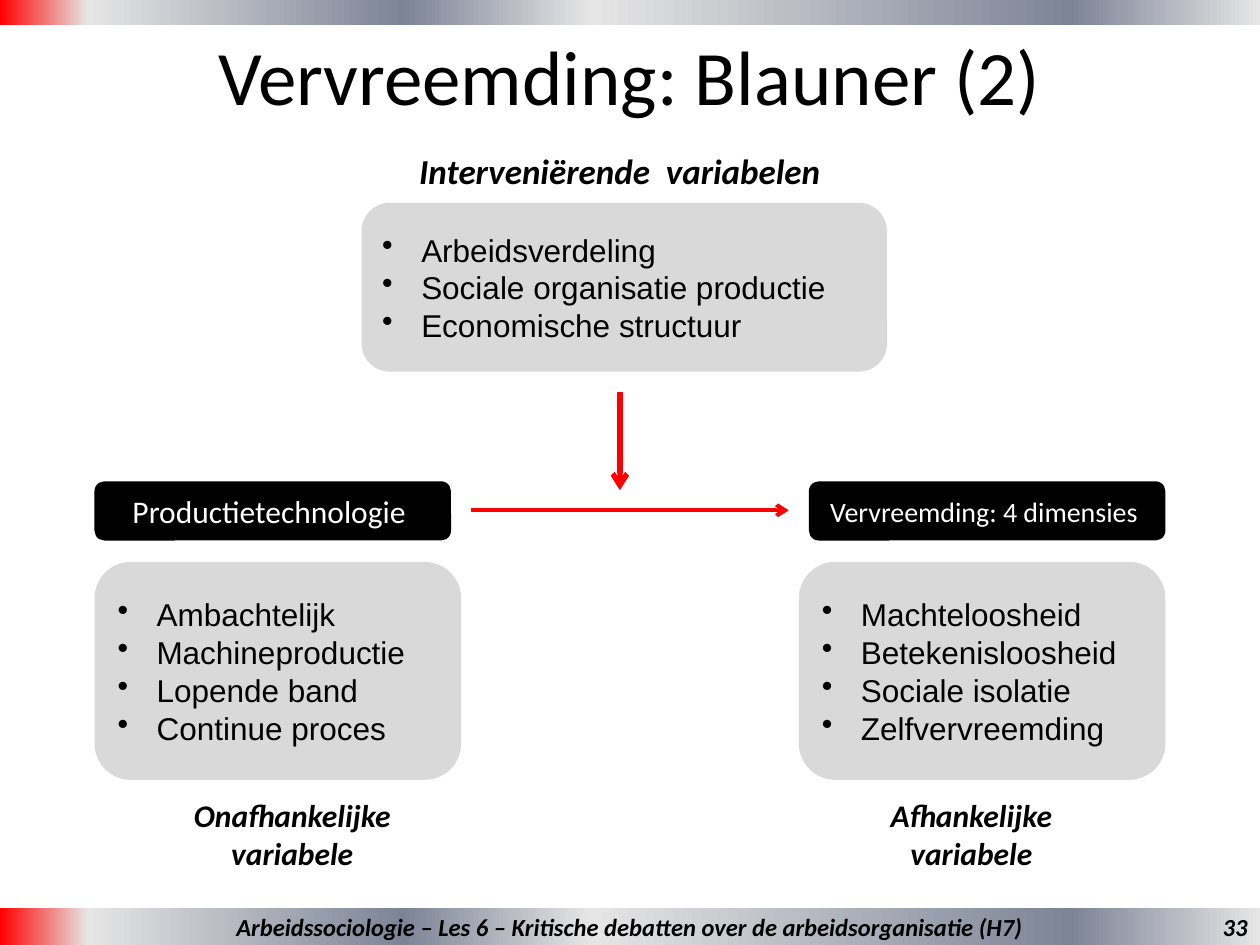
from dataclasses import dataclass

from lxml import etree
from pptx import Presentation
from pptx.dml.color import RGBColor
from pptx.enum import shapes, text
from pptx.oxml import ns
from pptx.util import Inches, Pt


@dataclass(frozen=True)
class Theme:
    """Colours, fonts and type sizes of the slide."""
    black: str = "000000"
    white: str = "FFFFFF"
    panel: str = "D9D9D9"
    arrow: str = "FF0000"
    band: tuple = ((0, "FF0000"), (7, "E6E6E6"), (32, "7D8496"),
                   (47, "E6E6E6"), (85, "7D8496"), (100, "E6E6E6"))
    heading_font: str = "Calibri"
    list_font: str = "Arial"
    title: int = 44
    caption: int = 20
    body: int = 18
    small: int = 16
    footer: int = 14


THEME = Theme()
EMPHASIS = {"bold": True, "italic": True}
CENTER, RIGHT, LEFT = text.PP_ALIGN.CENTER, text.PP_ALIGN.RIGHT, text.PP_ALIGN.LEFT


def inches(box):
    """Turn a box of numbers into lengths."""
    return [Inches(value) for value in box]


def add_xml(parent, tag, **attributes):
    """Append a drawing element to its parent."""
    return etree.SubElement(parent, ns.qn(tag), attributes)


def write(holder, lines, size, color=THEME.black, font=THEME.heading_font,
          align=CENTER, anchor=text.MSO_ANCHOR.MIDDLE, bullets=False, **extra):
    """Fill a shape with formatted paragraphs."""
    frame = holder.text_frame
    frame.word_wrap = True
    frame.vertical_anchor = anchor
    for index, line in enumerate(lines):
        paragraph = frame.paragraphs[0] if index == 0 else frame.add_paragraph()
        paragraph.alignment = align
        if bullets:
            properties = paragraph._p.get_or_add_pPr()
            properties.set("marL", str(Inches(0.31)))
            properties.set("indent", str(-Inches(0.31)))
            add_xml(properties, "a:buChar", char="•")
        run = paragraph.add_run()
        run.text = line
        for name, value in {"size": Pt(size), "name": font, **extra}.items():
            setattr(run.font, name, value)
        run.font.color.rgb = RGBColor.from_string(color)


def add_panel(slide, box, kind=shapes.MSO_SHAPE.ROUNDED_RECTANGLE, fill=None):
    """Add a plain shape without line or shadow."""
    panel = slide.shapes.add_shape(kind, *inches(box))
    panel.shadow.inherit = False
    panel.line.fill.background()
    if fill:
        panel.fill.solid()
        panel.fill.fore_color.rgb = RGBColor.from_string(fill)
    return panel


def add_band(slide, box):
    """Add a gradient band across the slide."""
    band = add_panel(slide, box, shapes.MSO_SHAPE.RECTANGLE)
    band.fill.gradient()
    band.fill.gradient_angle = 0
    stops = band._element.spPr.find(".//" + ns.qn("a:gsLst"))
    for stop in list(stops):
        stops.remove(stop)
    for position, color in THEME.band:
        stop = add_xml(stops, "a:gs", pos=str(position * 1000))
        add_xml(stop, "a:srgbClr", val=color)
    return band


def add_caption(slide, box, wording, size, **options):
    """Add a bold italic text box."""
    caption = slide.shapes.add_textbox(*inches(box))
    write(caption, [wording], size, **{"anchor": text.MSO_ANCHOR.TOP, **EMPHASIS, **options})


def add_list(slide, box, items):
    """Add a grey panel with a bulleted list."""
    write(add_panel(slide, box, fill=THEME.panel), items, THEME.body,
          font=THEME.list_font, align=LEFT, bullets=True)


def add_arrow(slide, start, end, width):
    """Add a red arrow between two points."""
    arrow = slide.shapes.add_connector(shapes.MSO_CONNECTOR.STRAIGHT, *inches(start + end))
    arrow.line.color.rgb = RGBColor.from_string(THEME.arrow)
    arrow.line.width = Pt(width)
    add_xml(arrow.line._get_or_add_ln(), "a:tailEnd", type="arrow")
    add_xml(arrow._element.spPr, "a:effectLst")


def add_title(slide, box, wording):
    """Place and format the title placeholder."""
    title = slide.shapes.title
    for name, value in zip(("left", "top", "width", "height"), inches(box)):
        setattr(title, name, value)
    write(title, [wording], THEME.title)


def add_frame(slide, width, height):
    """Add the top band and the footer with its page number."""
    add_band(slide, (0, 0, width, 0.2))
    footer_height = 0.29
    top = height - footer_height
    footer = add_band(slide, (0, top, width, footer_height))
    write(footer, ["Arbeidssociologie – Les 6 – Kritische debatten over de arbeidsorganisatie (H7)"],
          THEME.footer, **EMPHASIS)
    add_caption(slide, (width - 2.83, top, 2.83, footer_height), "33", THEME.footer,
                align=RIGHT, anchor=text.MSO_ANCHOR.MIDDLE)


def add_variable(slide, box, list_left, heading, heading_size, items, caption, caption_box):
    """Add a variable: black heading, list panel and caption."""
    left, top, width, height = box
    write(add_panel(slide, (left, top, width, height), fill=THEME.black), [heading],
          heading_size, THEME.white)
    add_list(slide, (list_left, top + 0.64, 2.91, 1.73), items)
    add_caption(slide, caption_box, caption, THEME.body)


def add_intervening(slide, box):
    """Add the intervening variables with their caption."""
    left, top, width, height = box
    add_caption(slide, (left + 0.32, top - 0.47, 3.46, 0.44),
                "Interveniërende  variabelen", THEME.caption)
    add_list(slide, box, ["Arbeidsverdeling", "Sociale organisatie productie",
                          "Economische structuur"])


def main():
    """Build and save the slide."""
    deck = Presentation()
    width, height = 10, 7.5
    deck.slide_width, deck.slide_height = inches((width, height))
    slide = deck.slides.add_slide(deck.slide_layouts[5])
    add_frame(slide, width, height)
    add_title(slide, (0, 0.13, width, 0.92), "Vervreemding: Blauner (2)")
    add_intervening(slide, (2.87, 1.61, 4.17, 1.34))
    add_variable(slide, (0.75, 3.82, 2.83, 0.47), 0.75, "Productietechnologie ", THEME.body,
                 ["Ambachtelijk", "Machineproductie", "Lopende band", "Continue proces"],
                 "Onafhankelijke variabele", (0.98, 6.27, 2.68, 0.71))
    add_variable(slide, (6.42, 3.82, 2.83, 0.47), 6.34, "Vervreemding: 4 dimensies ", THEME.small,
                 ["Machteloosheid", "Betekenisloosheid", "Sociale isolatie", "Zelfvervreemding"],
                 "Afhankelijke variabele", (6.53, 6.27, 2.36, 0.71))
    add_arrow(slide, (3.74, 4.05), (6.26, 4.05), 2.25)
    add_arrow(slide, (4.92, 3.11), (4.92, 3.89), 3)
    deck.save("out.pptx")


if __name__ == "__main__":
    main()
